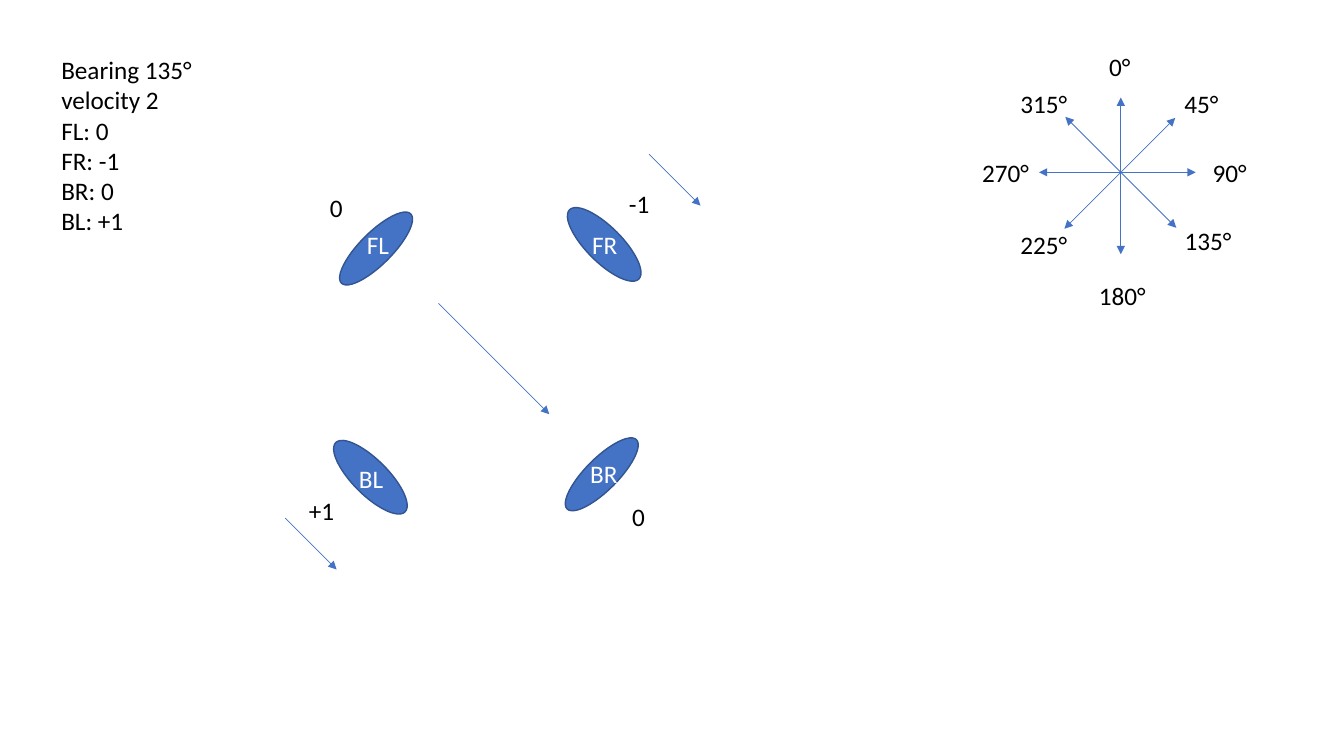
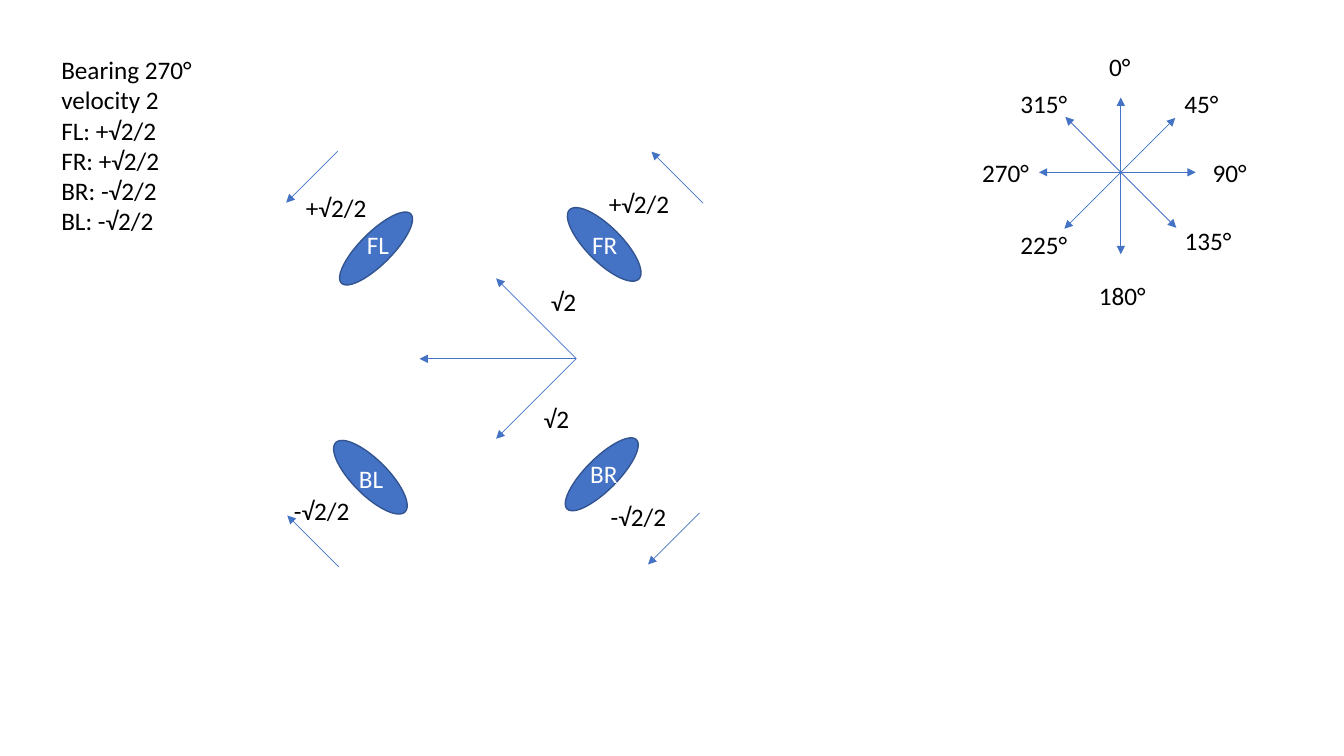
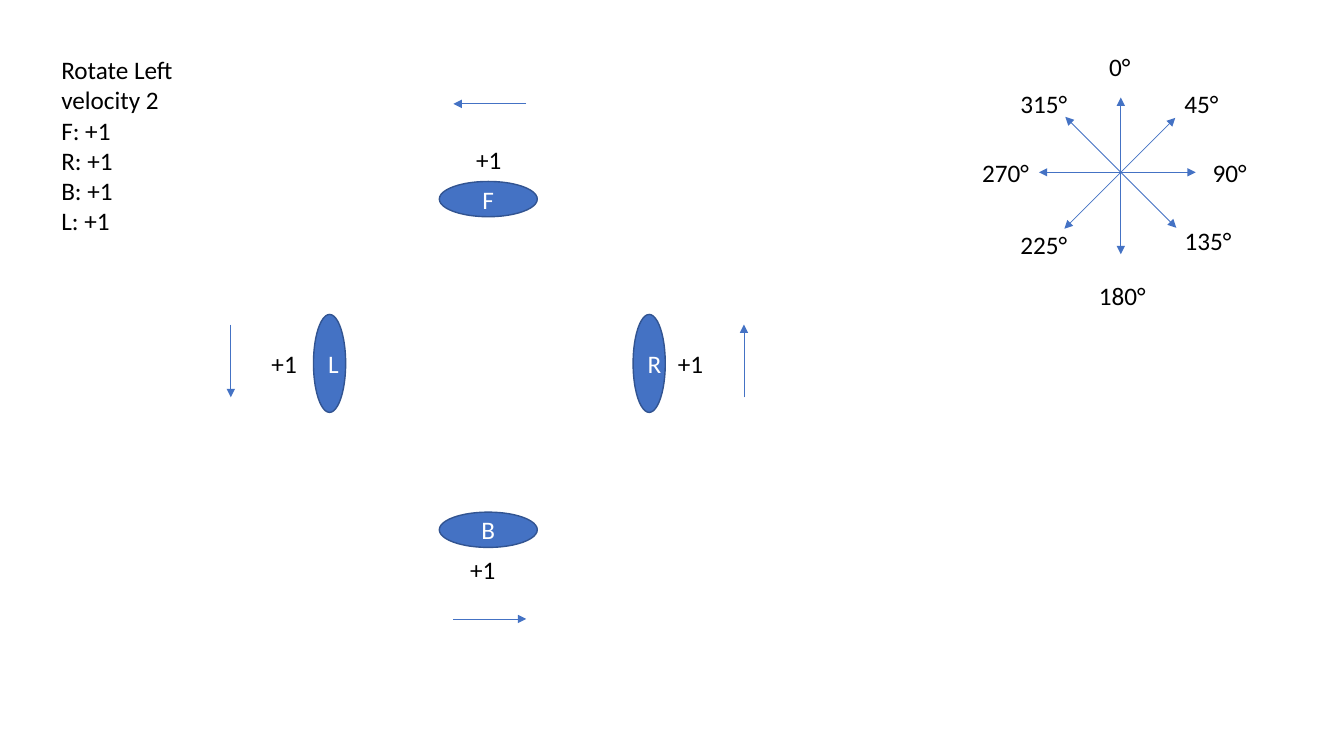
from dataclasses import dataclass
from math import cos, radians, sin
from typing import NamedTuple, Optional

from lxml import etree
from pptx import Presentation
from pptx.dml.color import RGBColor
from pptx.enum import shapes, text
from pptx.oxml import ns
from pptx.util import Pt


@dataclass(frozen=True)
class Theme:
    font: str = "Calibri"
    size: float = 18
    ink: RGBColor = RGBColor(0, 0, 0)
    light: RGBColor = RGBColor(0xFF, 0xFF, 0xFF)
    accent: RGBColor = RGBColor(0x44, 0x72, 0xC4)
    outline: RGBColor = RGBColor(0x32, 0x54, 0x91)
    arrow_width: float = 0.5
    outline_width: float = 1


THEME = Theme()


class Point(NamedTuple):
    x: float
    y: float


class Size(NamedTuple):
    width: float
    height: float


class Label(NamedTuple):
    text: str
    center: Point


class Arrow(NamedTuple):
    center: Point
    bearing: float
    length: float
    double: bool = False


class Wheel(NamedTuple):
    name: str
    center: Point
    size: Size
    speed_center: Point
    rotation: float = 0
    name_center: Optional[Point] = None


class Motion(NamedTuple):
    heading: str
    wheels: list[Wheel]
    speeds: list[str]
    arrows: list[Arrow]
    labels: list[Label] = []


LONG, MEDIUM, SHORT = 112, 81, 52
WIDE, TALL = Size(70, 25.2), Size(23, 70)
LINE_BOX_HEIGHT = 29.1
SIDE_INSETS = 14.4
GLYPH_WIDTHS = {"°": 6.4, "+": 9, "-": 5.5, "√": 9.6, "/": 7}
DIGIT_WIDTH = 9.2

COMPASS_AXES = [
    Arrow(Point(800.6, 125.6), 0, LONG, True),
    Arrow(Point(799.9, 123.8), 45, LONG, True),
    Arrow(Point(798.1, 123.1), 90, LONG, True),
    Arrow(Point(800.6, 123.1), 135, LONG, True),
]
COMPASS_LABELS = [
    Label("0°", Point(799.9, 47.6)),
    Label("45°", Point(858.2, 74.3)),
    Label("90°", Point(878.4, 123.3)),
    Label("135°", Point(862.9, 172.2)),
    Label("180°", Point(801.7, 211)),
    Label("225°", Point(745.6, 175.1)),
    Label("270°", Point(718.2, 123.3)),
    Label("315°", Point(745.6, 74.3)),
]

CORNER_WHEELS = [
    Wheel("FL", Point(268.6, 177.5), TALL, Point(240.1, 148.5), 45, Point(270, 175.1)),
    Wheel("FR", Point(431.6, 174.6), WIDE, Point(456.5, 145.6), 45, Point(432, 175.1)),
    Wheel("BR", Point(429.8, 338.8), TALL, Point(456, 368.8), 45, Point(431.3, 338.5)),
    Wheel("BL", Point(264.6, 340.9), WIDE, Point(229.7, 364.5), 45, Point(265, 342.1)),
]
SIDE_WHEELS = [
    Wheel("F", Point(348.8, 142.2), WIDE, Point(349.2, 113.9)),
    Wheel("R", Point(463.7, 259.6), TALL, Point(493.2, 260.1)),
    Wheel("B", Point(348.8, 378.4), WIDE, Point(344.9, 407)),
    Wheel("L", Point(235.4, 259.6), TALL, Point(203, 260.1)),
]

MOTIONS = [
    Motion(
        "Bearing 135°", CORNER_WHEELS, ["0", "-1", "0", "+1"],
        [
            Arrow(Point(352.8, 256.3), 135, LONG),
            Arrow(Point(222.1, 388.4), 135, SHORT),
            Arrow(Point(482, 128.5), 135, SHORT),
        ],
    ),
    Motion(
        "Bearing 270°", CORNER_WHEELS, ["+√2/2", "+√2/2", "-√2/2", "-√2/2"],
        [
            Arrow(Point(355.7, 256.3), 270, LONG),
            Arrow(Point(383, 284.8), 225, MEDIUM),
            Arrow(Point(383, 227.5), 315, MEDIUM),
            Arrow(Point(222.8, 126.4), 225, SHORT),
            Arrow(Point(483.8, 126.7), 315, SHORT),
            Arrow(Point(481.3, 384.8), 225, SHORT),
            Arrow(Point(223.6, 386.6), 315, SHORT),
        ],
        [Label("√2", Point(402.5, 215.4)), Label("√2", Point(397.4, 299))],
    ),
    Motion(
        "Rotate Left", SIDE_WHEELS, ["+1"] * 4,
        [
            Arrow(Point(349.9, 74.2), 270, SHORT),
            Arrow(Point(531.4, 257.8), 0, SHORT),
            Arrow(Point(349.9, 442.1), 90, SHORT),
            Arrow(Point(164.9, 257.8), 180, SHORT),
        ],
    ),
]


def centered(center: Point, size: Size) -> tuple[Pt, Pt, Pt, Pt]:
    """Return left, top, width and height of a box around its center."""
    left, top = center.x - size.width / 2, center.y - size.height / 2
    return Pt(left), Pt(top), Pt(size.width), Pt(size.height)


def write(text_frame, content: str, color: RGBColor, align=text.PP_ALIGN.CENTER) -> None:
    text_frame.text = content
    for paragraph in text_frame.paragraphs:
        paragraph.alignment = align
        for run in paragraph.runs:
            run.font.name = THEME.font
            run.font.size = Pt(THEME.size)
            run.font.color.rgb = color


def add_label(slide, label: Label) -> None:
    width = SIDE_INSETS + sum(GLYPH_WIDTHS.get(glyph, DIGIT_WIDTH) for glyph in label.text)
    box = slide.shapes.add_textbox(*centered(label.center, Size(width, LINE_BOX_HEIGHT)))
    box.text_frame.word_wrap = False
    write(box.text_frame, label.text, THEME.ink)


def add_arrow(slide, arrow: Arrow) -> None:
    """Draw an arrow along a compass bearing, clockwise from the top."""
    angle = radians(arrow.bearing)
    dx, dy = sin(angle) * arrow.length / 2, -cos(angle) * arrow.length / 2
    x, y = arrow.center
    connector = slide.shapes.add_connector(
        shapes.MSO_CONNECTOR.STRAIGHT, Pt(x - dx), Pt(y - dy), Pt(x + dx), Pt(y + dy)
    )
    connector.line.color.rgb = THEME.accent
    connector.line.width = Pt(THEME.arrow_width)
    properties = connector.line._get_or_add_ln()
    for end in ["headEnd", "tailEnd"] if arrow.double else ["tailEnd"]:
        etree.SubElement(properties, ns.qn(f"a:{end}"), type="triangle")
    etree.SubElement(connector._element.spPr, ns.qn("a:effectLst"))


def add_wheel(slide, wheel: Wheel) -> None:
    """Draw a wheel; its name stays upright in a box of its own if the wheel is turned."""
    ellipse = slide.shapes.add_shape(shapes.MSO_SHAPE.OVAL, *centered(wheel.center, wheel.size))
    ellipse.rotation = wheel.rotation
    ellipse.shadow.inherit = False
    ellipse.fill.solid()
    ellipse.fill.fore_color.rgb = THEME.accent
    ellipse.line.color.rgb = THEME.outline
    ellipse.line.width = Pt(THEME.outline_width)
    holder = ellipse
    if wheel.name_center:
        holder = slide.shapes.add_textbox(
            *centered(wheel.name_center, Size(40.3, LINE_BOX_HEIGHT))
        )
    holder.text_frame.word_wrap = True
    write(holder.text_frame, wheel.name, THEME.light)


def add_summary(slide, motion: Motion) -> None:
    box = slide.shapes.add_textbox(Pt(36.7), Pt(35.3), Pt(177.1), Pt(138.2))
    box.text_frame.word_wrap = True
    lines = [motion.heading, "velocity 2"]
    lines += [f"{wheel.name}: {speed}" for wheel, speed in zip(motion.wheels, motion.speeds)]
    write(box.text_frame, "\n".join(lines), THEME.ink, text.PP_ALIGN.LEFT)


def add_motion_slide(presentation, motion: Motion) -> None:
    slide = presentation.slides.add_slide(presentation.slide_layouts[6])
    add_summary(slide, motion)
    for arrow in COMPASS_AXES + motion.arrows:
        add_arrow(slide, arrow)
    for wheel in motion.wheels:
        add_wheel(slide, wheel)
    speed_labels = [
        Label(speed, wheel.speed_center) for wheel, speed in zip(motion.wheels, motion.speeds)
    ]
    for label in COMPASS_LABELS + speed_labels + motion.labels:
        add_label(slide, label)


def main() -> None:
    presentation = Presentation()
    presentation.slide_width, presentation.slide_height = Pt(960), Pt(540)
    for motion in MOTIONS:
        add_motion_slide(presentation, motion)
    presentation.save("out.pptx")


if __name__ == "__main__":
    main()
